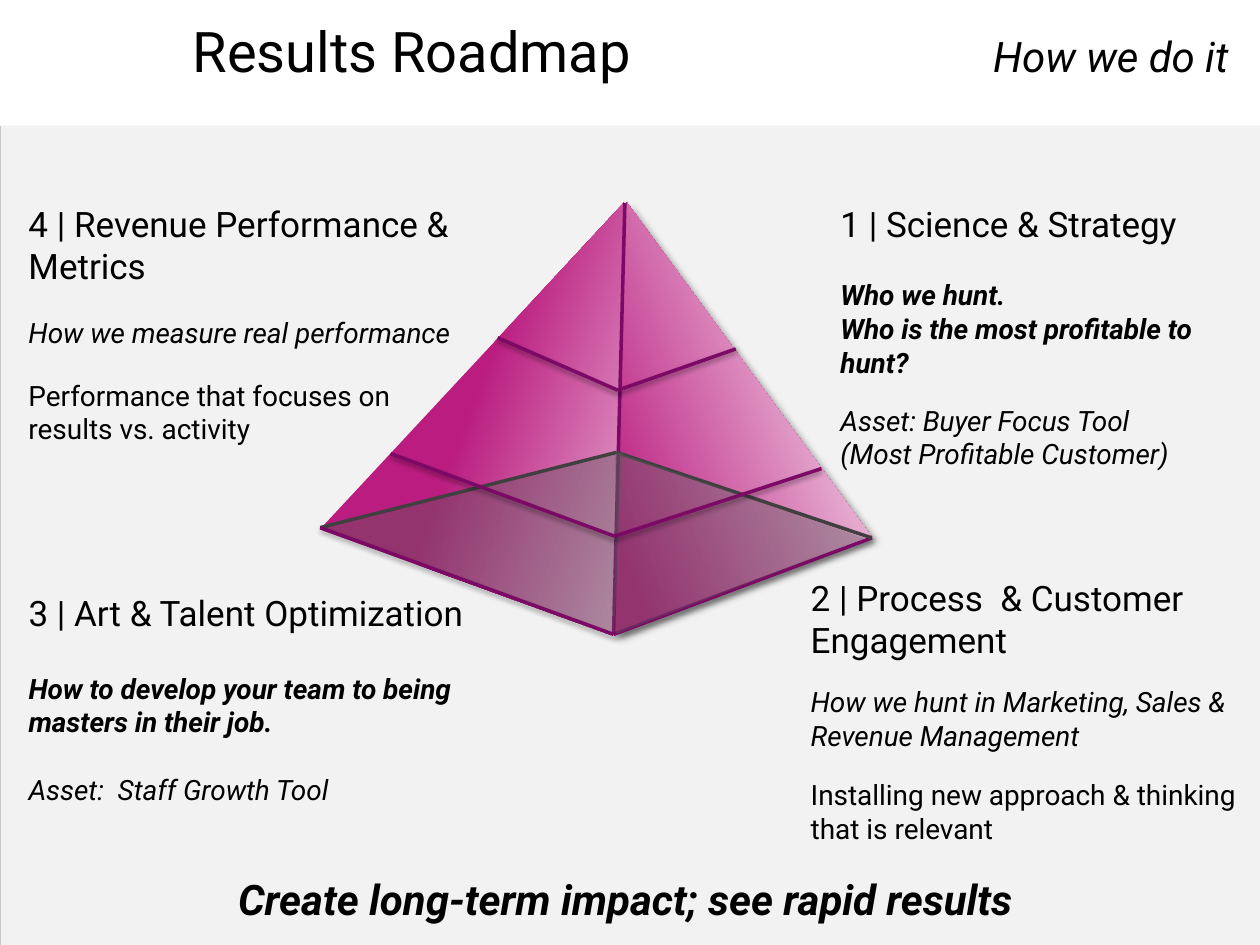
import pptx
import pptx.util
import pptx.dml.color
import pptx.enum.shapes
import pptx.enum.text
import pptx.oxml
import pptx.oxml.ns

Pt = pptx.util.Pt
FONT = "Roboto"
COLORS = {
    "edge": "CAC8C8",
    "panel": "F2F2F2",
    "text": "000000",
    "magenta": "BA1C7F",
    "white": "FFFFFF",
    "purple": "7B0965",
    "base_line": "404040",
    "base": "595959",
}
DRAWING = pptx.oxml.ns.nsdecls("a")
FACE_SHADOW = (40, 4, 3, 45)
LINE_SHADOW = (38, 3.1, 1.6, 90)


def rgb(name):
    return pptx.dml.color.RGBColor.from_string(COLORS[name])


def add_effects(shape, shadow=None):
    content = ""
    if shadow:
        alpha, blur, distance, angle = shadow
        content = (
            f'<a:outerShdw blurRad="{Pt(blur)}" dist="{Pt(distance)}" '
            f'dir="{angle * 60000}" algn="ctr" rotWithShape="0">'
            f'<a:srgbClr val="{COLORS["text"]}"><a:alpha val="{alpha * 1000}"/>'
            "</a:srgbClr></a:outerShdw>"
        )
    shape._element.spPr.append(
        pptx.oxml.parse_xml(f"<a:effectLst {DRAWING}>{content}</a:effectLst>")
    )


def add_rectangle(slide, box, color):
    shape = slide.shapes.add_shape(
        pptx.enum.shapes.MSO_SHAPE.RECTANGLE, *map(Pt, box)
    )
    shape.shadow.inherit = False
    shape.fill.solid()
    shape.fill.fore_color.rgb = rgb(color)
    shape.line.fill.background()


def add_triangle(slide, box, rotation, peak, shadow=None):
    shape = slide.shapes.add_shape(
        pptx.enum.shapes.MSO_SHAPE.ISOSCELES_TRIANGLE, *map(Pt, box)
    )
    shape.rotation = rotation
    shape.adjustments[0] = peak
    shape.line.fill.background()
    add_effects(shape, shadow)
    return shape


def add_face(slide, box, rotation, peak, start, shadow=None):
    shape = add_triangle(slide, box, rotation, peak, shadow)
    shape.fill.gradient()
    shape.fill.gradient_angle = 0
    stops = zip(shape.fill.gradient_stops, (start, 1), ("magenta", "white"))
    for stop, position, color in stops:
        stop.position = position
        stop.color.rgb = rgb(color)


def add_base(slide, box, rotation, peak):
    shape = add_triangle(slide, box, rotation, peak)
    shape.fill.solid()
    shape.fill.fore_color.rgb = rgb("base")
    color = shape._element.spPr.find(".//" + pptx.oxml.ns.qn("a:srgbClr"))
    color.append(pptx.oxml.parse_xml(f'<a:alpha {DRAWING} val="40000"/>'))


def add_edge(slide, origin, start, end, color="purple", shadow=LINE_SHADOW):
    left, top = origin
    connector = slide.shapes.add_connector(
        pptx.enum.shapes.MSO_CONNECTOR.STRAIGHT,
        Pt(left + start[0]), Pt(top + start[1]),
        Pt(left + end[0]), Pt(top + end[1]),
    )
    connector.line.color.rgb = rgb(color)
    connector.line.width = Pt(2)
    add_effects(connector, shadow)


def add_pyramid(slide, origin):
    left, top = origin
    apex, front, back = (174.1, 10.9), (167.6, 257.5), (169.4, 153.5)
    left_corner, right_corner = (0, 196.5), (315.2, 202.4)
    upper, lower = (170, 118), (168.2, 201.4)

    add_face(slide, (left + 122.3, top + 8.8, 157.7, 229), 339.2, 0.6, 0.31, FACE_SHADOW)
    add_face(slide, (left + 34.4, top, 177.1, 234.7), 19.9, 0.564, 0.4)
    add_edge(slide, origin, right_corner, front)
    add_edge(slide, origin, apex, front, shadow=None)
    for outer in ((237.5, 94.4), (101.4, 88)):
        add_edge(slide, origin, outer, upper)
    for corner in (right_corner, left_corner):
        add_edge(slide, origin, corner, back, "base_line", None)
    add_base(slide, (left + 35.2, top + 117.5, 103.7, 167), 272.9, 0.5)
    add_base(slide, (left + 187.8, top + 134, 104.4, 142.6), 90, 0.474)
    for outer in ((286.4, 162.8), (40.2, 154.2)):
        add_edge(slide, origin, outer, lower)
    add_edge(slide, origin, left_corner, front)


def add_text_frame(slide, box):
    text_frame = slide.shapes.add_textbox(*map(Pt, box)).text_frame
    text_frame.word_wrap = True
    return text_frame


def format_run(run, size, bold=False, italic=False):
    run.font.name = FONT
    run.font.size = Pt(size)
    run.font.bold = bold
    run.font.italic = italic
    run.font.color.rgb = rgb("text")


def add_step(slide, box, heading, lines):
    text_frame = add_text_frame(slide, box)
    paragraph = text_frame.paragraphs[0]
    paragraph.text = heading
    format_run(paragraph.runs[0], 20)
    for text, gap, bold, italic in lines:
        paragraph = text_frame.add_paragraph()
        paragraph.text = text
        paragraph.space_before = Pt(gap)
        format_run(paragraph.runs[0], 16, bold, italic)


def add_title(slide, box, title, subtitle):
    paragraph = add_text_frame(slide, box).paragraphs[0]
    properties = paragraph._p.get_or_add_pPr()
    properties.append(pptx.oxml.parse_xml(
        f'<a:tabLst {DRAWING}><a:tab pos="{Pt(592)}" algn="r"/></a:tabLst>'
    ))
    for text, size, italic in ((title + "\t", 32, False), (subtitle, 24, True)):
        run = paragraph.add_run()
        run.text = text
        format_run(run, size, italic=italic)


def add_conclusion(slide, box, text):
    paragraph = add_text_frame(slide, box).paragraphs[0]
    paragraph.text = text
    paragraph.alignment = pptx.enum.text.PP_ALIGN.CENTER
    format_run(paragraph.runs[0], 24, bold=True, italic=True)


def main():
    presentation = pptx.Presentation()
    presentation.slide_width, presentation.slide_height = Pt(720), Pt(540)
    slide = presentation.slides.add_slide(presentation.slide_layouts[6])
    add_rectangle(slide, (0, 72, 720, 468), "edge")
    add_rectangle(slide, (0.7, 72, 719.3, 468), "panel")
    add_conclusion(slide, (11.4, 495.6, 692, 36), "Create long-term impact; see rapid results")
    add_pyramid(slide, (183, 105))
    add_step(slide, (473.2, 112.3, 228.2, 219.6), "1 | Science & Strategy", (
        ("Who we hunt.", 19, True, True),
        ("Who is the most profitable to hunt?", 0, True, True),
        ("Asset: Buyer Focus Tool", 14, False, True),
        ("(Most Profitable Customer)", 0, False, True),
    ))
    add_step(slide, (456.2, 325.8, 266.4, 173.5), "2 | Process  & Customer Engagement", (
        ("How we hunt in Marketing, Sales & Revenue Management", 14, False, True),
        ("Installing new approach & thinking that is relevant", 14.5, False, False),
    ))
    add_step(slide, (9.2, 334.5, 272.9, 141.8), "3 | Art & Talent Optimization", (
        ("How to develop your team to being masters in their job.", 21.5, True, True),
        ("Asset:  Staff Growth Tool", 19.5, False, True),
    ))
    add_step(slide, (9.2, 112.3, 256.3, 147.6), "4 | Revenue Performance & Metrics", (
        ("How we measure real performance", 16.5, False, True),
        ("Performance that focuses on results vs. activity", 16.5, False, False),
    ))
    add_title(slide, (103, 5.8, 617, 62.6), "Results Roadmap", "How we do it")
    presentation.save("out.pptx")


if __name__ == "__main__":
    main()
